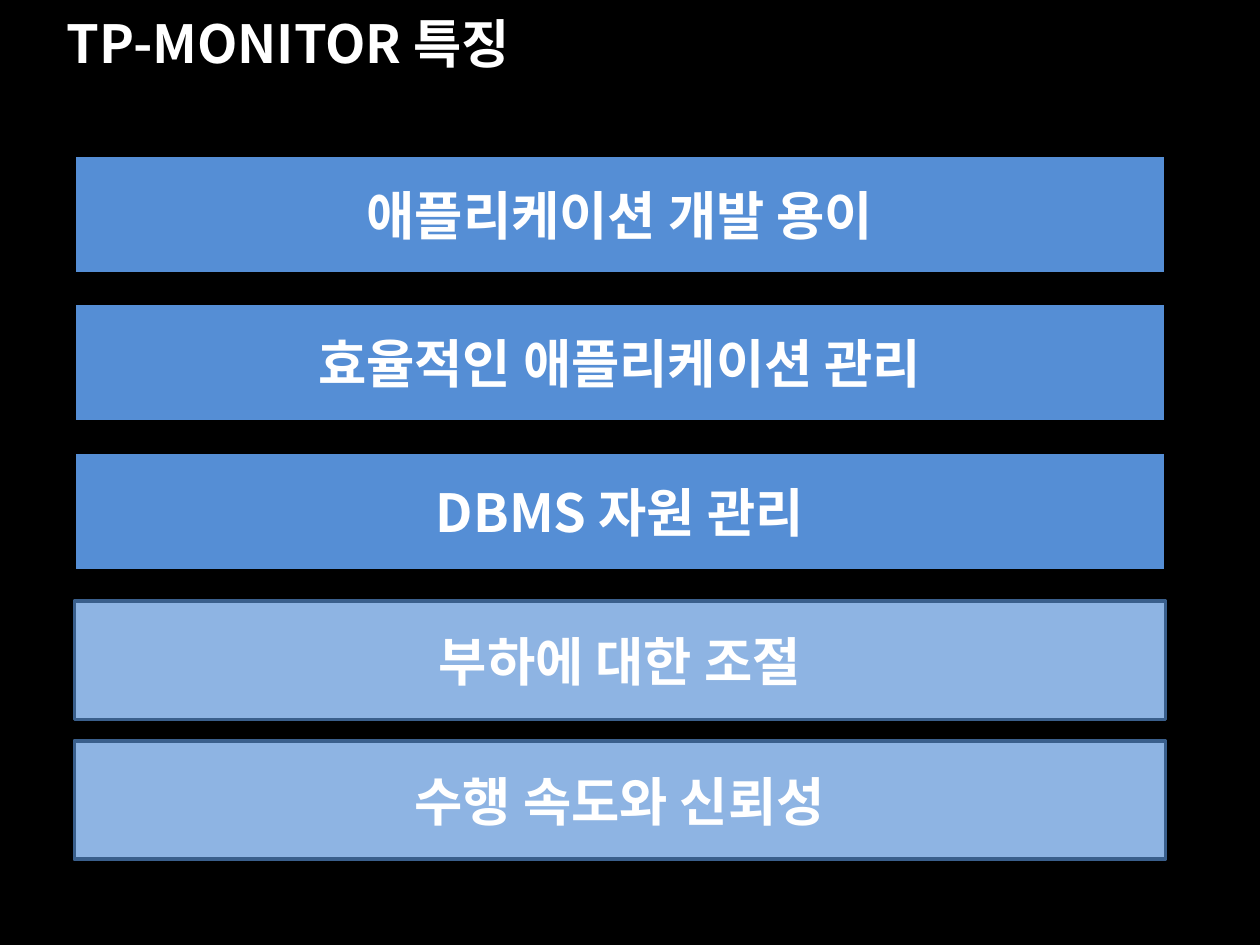
"""Build the slide listing the features of a TP-MONITOR."""
import lxml.etree
import pptx
import pptx.dml.color
import pptx.enum.shapes
import pptx.enum.text
import pptx.oxml.ns
import pptx.util

WIDTH, HEIGHT = 10, 7.5
TITLE = "TP-MONITOR 특징"
FONT = "Noto Sans CJK KR"
FORMAT = {"name": FONT, "size": pptx.util.Pt(30), "bold": True}
LEFT, BAR_WIDTH, BAR_HEIGHT = 0.59, 8.66, 0.94
GROUPS = [
    {"top": 1.23, "pitch": 1.18, "fill": "558ED5", "line": "000000",
     "items": ["애플리케이션 개발 용이", "효율적인 애플리케이션 관리", "DBMS 자원 관리"]},
    {"top": 4.77, "pitch": 1.11, "fill": "8EB4E3", "line": "3A5F8C",
     "items": ["부하에 대한 조절", "수행 속도와 신뢰성"]},
]


def paint(fill, color):
    fill.solid()
    fill.fore_color.rgb = pptx.dml.color.RGBColor.from_string(color)


def write(shape, text, align):
    tf = shape.text_frame
    tf.word_wrap = True
    tf.auto_size = pptx.enum.text.MSO_AUTO_SIZE.NONE
    tf.vertical_anchor = pptx.enum.text.MSO_ANCHOR.MIDDLE
    p = tf.paragraphs[0]
    p.alignment = align
    r = p.add_run()
    r.text = text
    for name, value in FORMAT.items():
        setattr(r.font, name, value)
    paint(r.font.fill, "FFFFFF")
    ea = lxml.etree.SubElement(r._r.get_or_add_rPr(), pptx.oxml.ns.qn("a:ea"))
    ea.set("typeface", FONT)


def main():
    inch = pptx.util.Inches
    align = pptx.enum.text.PP_ALIGN
    prs = pptx.Presentation()
    prs.slide_width, prs.slide_height = inch(WIDTH), inch(HEIGHT)
    s = prs.slides.add_slide(prs.slide_layouts[5])
    paint(s.background.fill, "000000")

    title = s.shapes.title
    box = {"left": 0.43, "top": 0, "width": 7.01, "height": 0.68}
    for name, value in box.items():
        setattr(title, name, inch(value))
    write(title, TITLE, align.LEFT)

    for group in GROUPS:
        for row, text in enumerate(group["items"]):
            top = group["top"] + row * group["pitch"]
            bar = s.shapes.add_shape(
                pptx.enum.shapes.MSO_SHAPE.RECTANGLE,
                inch(LEFT), inch(top), inch(BAR_WIDTH), inch(BAR_HEIGHT))
            bar.shadow.inherit = False
            paint(bar.fill, group["fill"])
            paint(bar.line.fill, group["line"])
            bar.line.width = pptx.util.Pt(2)
            write(bar, text, align.CENTER)

    prs.save("out.pptx")


if __name__ == "__main__":
    main()
